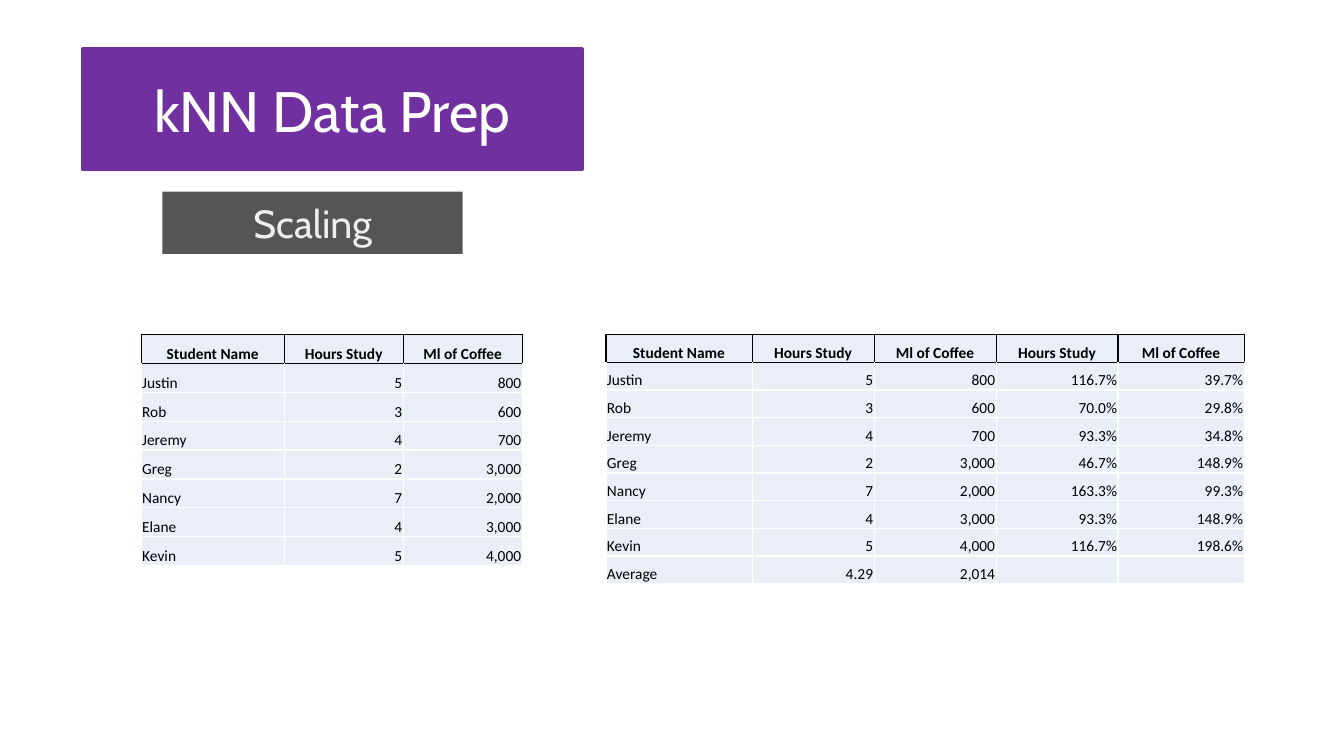
from lxml.etree import SubElement
from pptx import Presentation
from pptx.dml.color import RGBColor
from pptx.enum.shapes import MSO_SHAPE
from pptx.enum.text import MSO_ANCHOR, PP_ALIGN
from pptx.oxml.ns import qn
from pptx.util import Inches, Pt

BLACK, WHITE, PALE = "000000", "FFFFFF", "EAEFF7"
HEAD = ["Student Name", "Hours Study", "Ml of Coffee"]
STUDY = [
    ("Justin", 5, 800),
    ("Rob", 3, 600),
    ("Jeremy", 4, 700),
    ("Greg", 2, 3000),
    ("Nancy", 7, 2000),
    ("Elane", 4, 3000),
    ("Kevin", 5, 4000),
]


def color(code):
    return RGBColor.from_string(code)


def style(para, font, size, code, bold=False):
    for run in para.runs:
        run.font.name = font
        run.font.size = Pt(size)
        run.font.bold = bold
        run.font.color.rgb = color(code)


def banner(slide, box, text, size, fill, ink, edge=0):
    shape = slide.shapes.add_shape(MSO_SHAPE.RECTANGLE, *map(Inches, box))
    shape.shadow.inherit = False
    shape.fill.solid()
    shape.fill.fore_color.rgb = color(fill)
    if edge:
        shape.line.color.rgb = color(fill)
        shape.line.width = Pt(edge)
    else:
        shape.line.fill.background()
    frame = shape.text_frame
    frame.text = text
    frame.vertical_anchor = MSO_ANCHOR.MIDDLE
    para = frame.paragraphs[0]
    para.alignment = PP_ALIGN.CENTER
    style(para, "Cabin", size, ink)


def border(cell, side, code):
    props = cell._tc.get_or_add_tcPr()
    line = SubElement(props, qn(f"a:ln{side}"), w=str(Pt(1)))
    fill = SubElement(line, qn("a:solidFill"))
    SubElement(fill, qn("a:srgbClr"), val=code)


def fill_cell(cell, text, row, col):
    head = row == 0
    for side in "LRTB":
        dark = head or (row == 1 and side == "T")
        border(cell, side, BLACK if dark else WHITE)
    cell.fill.solid()
    cell.fill.fore_color.rgb = color(PALE)
    cell.vertical_anchor = MSO_ANCHOR.BOTTOM
    cell.margin_left = cell.margin_right = cell.margin_top = Inches(0.01)
    cell.margin_bottom = 0
    para = cell.text_frame.paragraphs[0]
    if text:
        para.text = text
    if head:
        para.alignment = PP_ALIGN.CENTER
    else:
        para.alignment = PP_ALIGN.RIGHT if col else PP_ALIGN.LEFT
    style(para, "Calibri", 11, BLACK, head)
    SubElement(para._p, qn("a:endParaRPr"), sz="1100")


def grid(slide, box, widths, rows):
    frame = slide.shapes.add_table(len(rows), len(widths), *map(Inches, box))
    table = frame.table
    table.first_row = table.horz_banding = False
    for column, width in zip(table.columns, widths):
        column.width = Inches(width)
    for r, row in enumerate(rows):
        table.rows[r].height = Inches(box[3] / len(rows))
        for c, text in enumerate(row):
            fill_cell(table.cell(r, c), text, r, c)


def main():
    deck = Presentation()
    deck.slide_width, deck.slide_height = Inches(13.33), Inches(7.5)
    slide = deck.slides.add_slide(deck.slide_layouts[6])

    banner(slide, (0.82, 0.49, 4.95, 1.19), "kNN Data Prep", 40.7, "7030A0", WHITE, 2.75)
    banner(slide, (1.61, 1.9, 2.98, 0.62), "Scaling", 28, "555555", "EEEEEE")

    hours = sum(row[1] for row in STUDY) / len(STUDY)
    coffee = sum(row[2] for row in STUDY) / len(STUDY)
    plain = [[name, f"{h}", f"{ml:,}"] for name, h, ml in STUDY]
    ratios = [[f"{h / hours:.1%}", f"{ml / coffee:.1%}"] for _, h, ml in STUDY]
    scaled = [left + right for left, right in zip(plain, ratios)]
    mean = ["Average", f"{hours:.2f}", f"{coffee:,.0f}", "", ""]

    grid(slide, (1.4, 3.32, 3.78, 2.29), [1.42, 1.18, 1.18], [HEAD] + plain)
    grid(slide, (6.01, 3.32, 6.33, 2.47), [1.45, 1.21, 1.21, 1.21, 1.25],
         [HEAD + HEAD[1:]] + scaled + [mean])
    deck.save("out.pptx")


if __name__ == "__main__":
    main()
